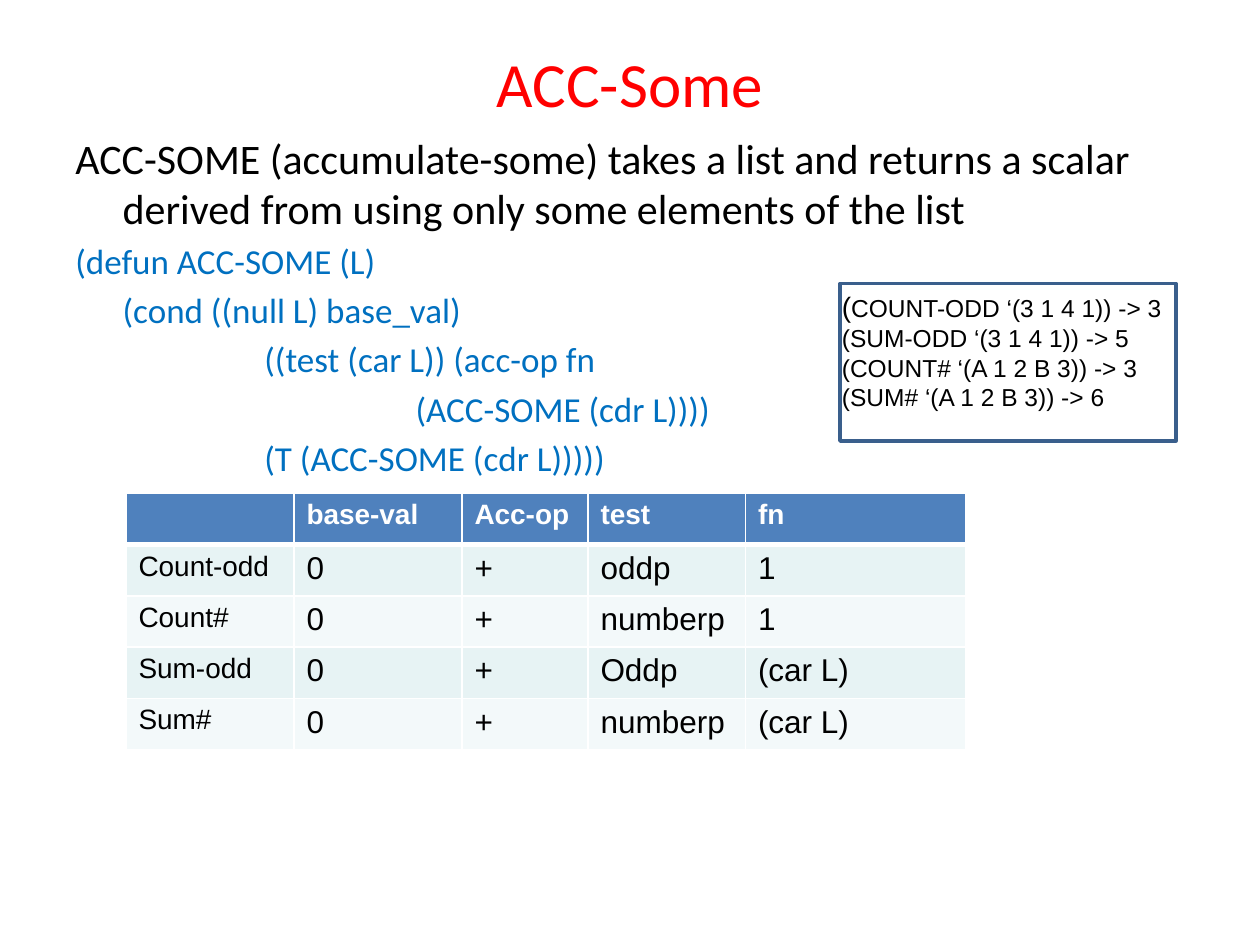
from dataclasses import dataclass
from typing import NamedTuple

from lxml import etree
from pptx import Presentation
from pptx.dml.color import RGBColor
from pptx.enum.shapes import MSO_SHAPE
from pptx.enum.text import MSO_ANCHOR, PP_ALIGN
from pptx.oxml.ns import qn
from pptx.util import Inches, Pt

RECT = MSO_SHAPE.RECTANGLE
TOP, MIDDLE = MSO_ANCHOR.TOP, MSO_ANCHOR.MIDDLE
LEFT, CENTER = PP_ALIGN.LEFT, PP_ALIGN.CENTER


@dataclass(frozen=True)
class Theme:
    heading: str = "Calibri"
    plain: str = "Arial"
    red: str = "FF0000"
    blue: str = "0070C0"
    black: str = "000000"
    white: str = "FFFFFF"
    header: str = "4F81BD"
    bands: tuple = ("E7F3F4", "F3F9FA")
    frame: str = "3A5F8C"
    title: int = 36
    lead: int = 24
    code: int = 20
    cell: int = 18
    label: int = 16
    note: int = 14


T = Theme()


class Box(NamedTuple):
    """Place on a grid of twelve units to the inch."""
    x: float
    y: float
    w: float
    h: float


class Run(NamedTuple):
    text: str
    size: int
    font: str = T.heading
    color: str = T.black
    bold: bool = False


class Para(NamedTuple):
    runs: list
    margin: float = 0
    first: float = 0
    before: float = 0
    align: int = LEFT


def grid(n: float) -> int:
    return Inches(n / 12)


def rgb(value: str) -> RGBColor:
    return RGBColor.from_string(value)


def write(tf, paras: list) -> None:
    for i, para in enumerate(paras):
        p = tf.paragraphs[0] if i == 0 else tf.add_paragraph()
        p.alignment = para.align
        if para.before:
            p.space_before = Pt(para.before)
        if para.margin:
            pPr = p._p.get_or_add_pPr()
            pPr.set("marL", str(grid(para.margin)))
            pPr.set("indent", str(grid(para.first)))
        for run in para.runs:
            r = p.add_run()
            r.text = run.text
            fmt = {"name": run.font, "size": Pt(run.size), "bold": run.bold}
            for key, value in fmt.items():
                setattr(r.font, key, value)
            r.font.color.rgb = rgb(run.color)


def add_text(slide, box: Box, paras: list, anchor=TOP) -> None:
    tf = slide.shapes.add_textbox(*map(grid, box)).text_frame
    tf.word_wrap = True
    tf.vertical_anchor = anchor
    write(tf, paras)


def add_frame(slide, box: Box) -> None:
    sp = slide.shapes.add_shape(RECT, *map(grid, box))
    sp.shadow.inherit = False
    sp.fill.background()
    sp.line.color.rgb = rgb(T.frame)
    sp.line.width = Pt(2)


def set_borders(cell, widths: dict) -> None:
    tcPr = cell._tc.get_or_add_tcPr()
    for side, width in widths.items():
        ln = etree.SubElement(tcPr, qn(f"a:ln{side}"), w=str(Pt(width)))
        fill = etree.SubElement(ln, qn("a:solidFill"))
        etree.SubElement(fill, qn("a:srgbClr"), val=T.white)


def add_grid_table(slide, box: Box, cols: list, rows: list) -> None:
    shape = slide.shapes.add_table(len(rows), len(cols), *map(grid, box))
    table = shape.table
    for col, width in zip(table.columns, cols):
        col.width = grid(width)
    for i, row in enumerate(rows):
        table.rows[i].height = grid(box.h / len(rows))
        head = i == 0
        for j, text in enumerate(row):
            cell = table.cell(i, j)
            set_borders(cell, {"L": 1, "R": 1, "T": 3 if i == 1 else 1,
                               "B": 3 if head else 1})
            cell.fill.solid()
            cell.fill.fore_color.rgb = rgb(
                T.header if head else T.bands[(i - 1) % 2])
            size = T.label if head or j == 0 else T.cell
            color = T.white if head else T.black
            if text:
                write(cell.text_frame,
                      [Para([Run(text, size, T.plain, color, head)])])


def main() -> None:
    prs = Presentation()
    prs.slide_width, prs.slide_height = Inches(10), Inches(7.5)
    slide = prs.slides.add_slide(prs.slide_layouts[6])

    # Title
    add_text(slide, Box(6, 3.6, 108, 8.4),
             [Para([Run("ACC-Some", T.title, color=T.red)], align=CENTER)],
             MIDDLE)

    # Definition and code, each code line with its own indent
    hang = 4.5
    lead = Para([Run("ACC-SOME (accumulate-some) takes a list and returns a "
                     "scalar derived from using only some elements of the "
                     "list", T.lead)], hang, -hang, T.lead / 5)
    code = [
        ("(defun ACC-SOME (L)", 0),
        ("(cond ((null L) base_val)", hang),
        ("((test (car L)) (acc-op fn", 18),
        ("(ACC-SOME (cdr L))))", 32.4),
        ("(T (ACC-SOME (cdr L)))))", 18),
    ]
    add_text(slide, Box(6, 12, 108, 68.4), [lead] + [
        Para([Run(text, T.code, color=T.blue)], margin, before=T.code / 5)
        for text, margin in code])

    # Table of parameters
    add_grid_table(slide, Box(12, 47, 80, 24.4), [16, 16, 12, 15, 21], [
        ["", "base-val", "Acc-op", "test", "fn"],
        ["Count-odd", "0", "+", "oddp", "1"],
        ["Count#", "0", "+", "numberp", "1"],
        ["Sum-odd", "0", "+", "Oddp", "(car L)"],
        ["Sum#", "0", "+", "numberp", "(car L)"],
    ])

    # Framed sample calls
    calls = ["COUNT-ODD ‘(3 1 4 1)) -> 3", "(SUM-ODD ‘(3 1 4 1)) -> 5",
             "(COUNT# ‘(A 1 2 B 3)) -> 3 (SUM# ‘(A 1 2 B 3)) -> 6"]
    paras = [Para([Run(call, T.note, T.plain)]) for call in calls]
    paras[0].runs.insert(0, Run("(", T.label, T.plain))
    add_text(slide, Box(79, 27, 36, 13), paras)
    add_frame(slide, Box(80, 27, 32, 15))

    prs.save("out.pptx")


if __name__ == "__main__":
    main()
